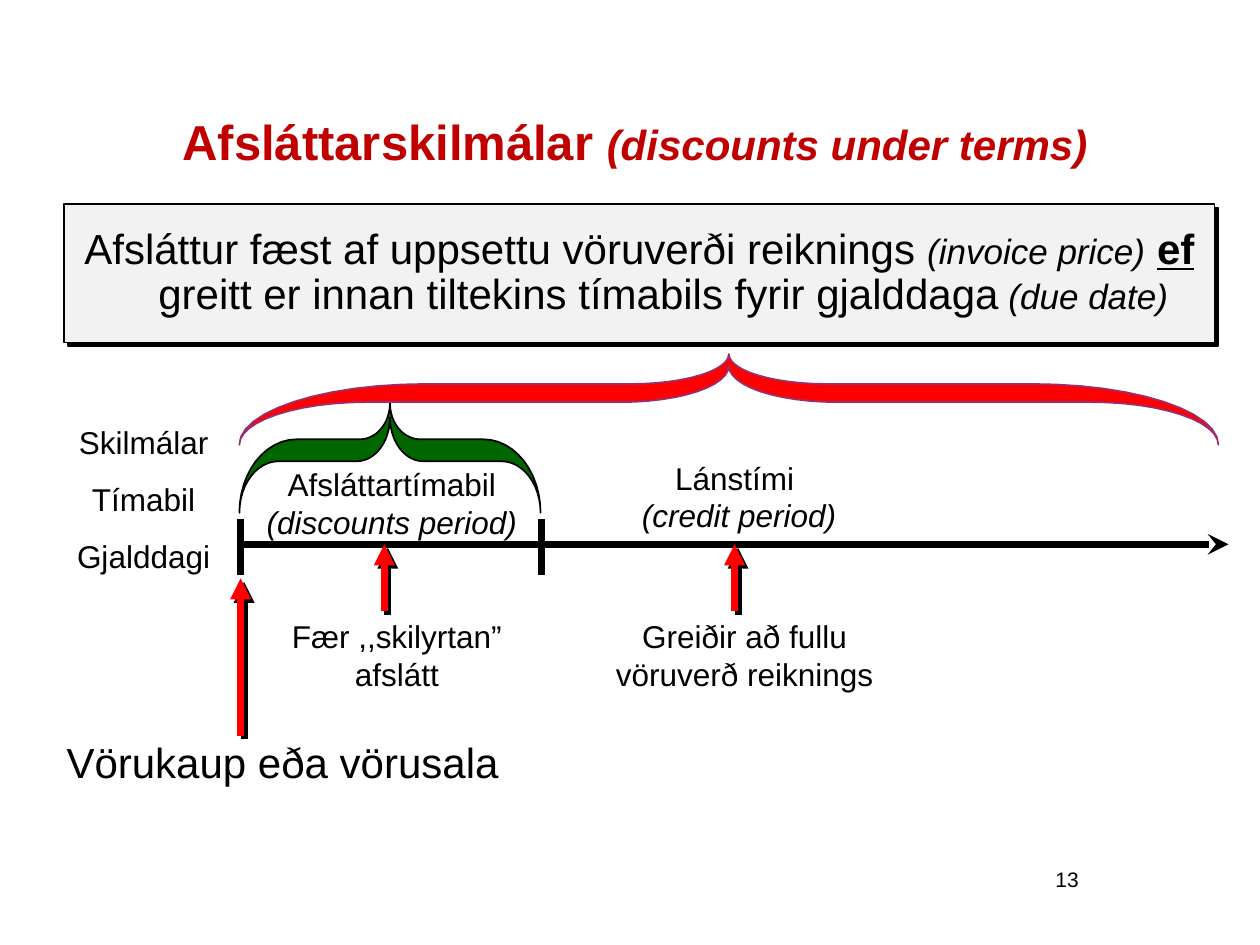
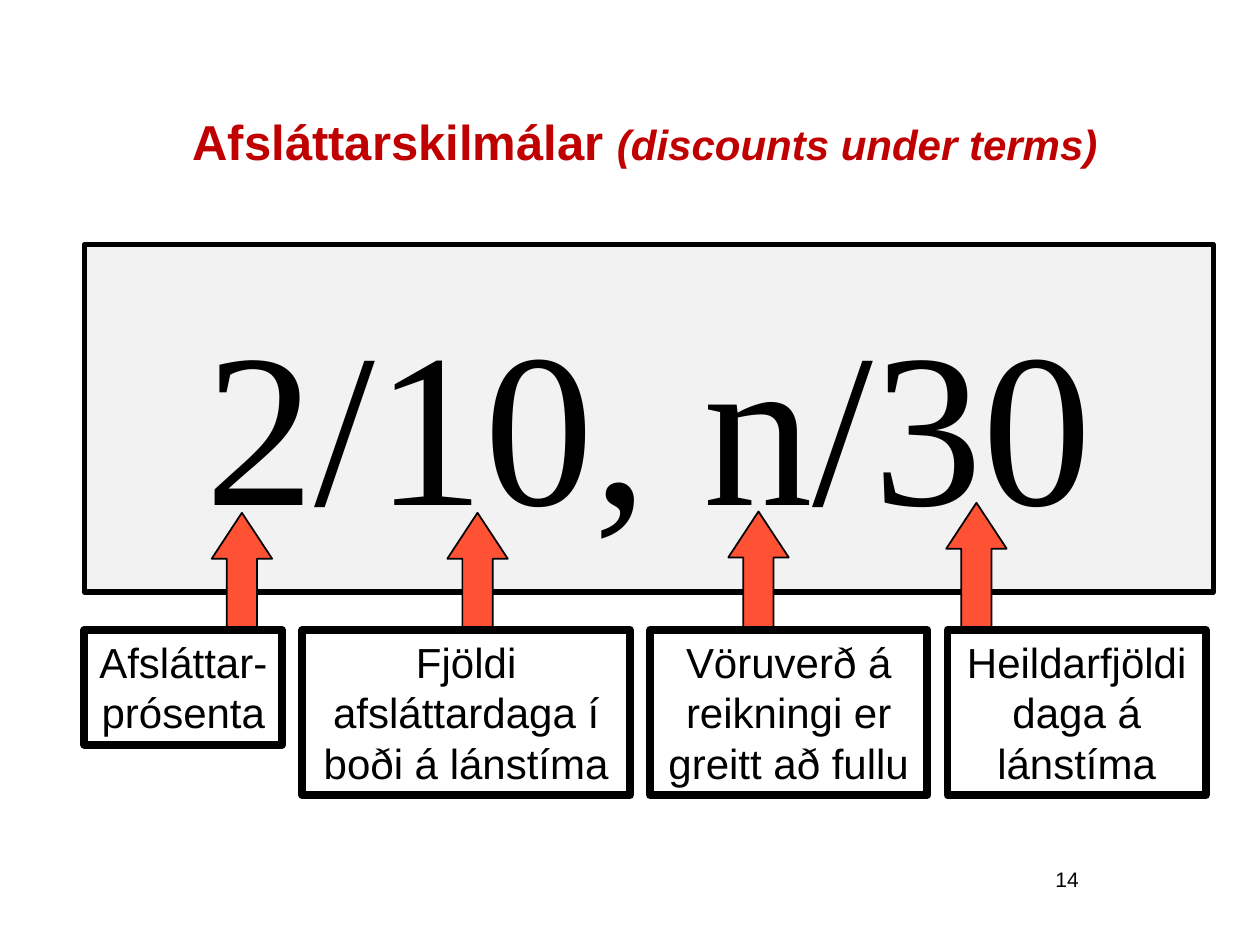
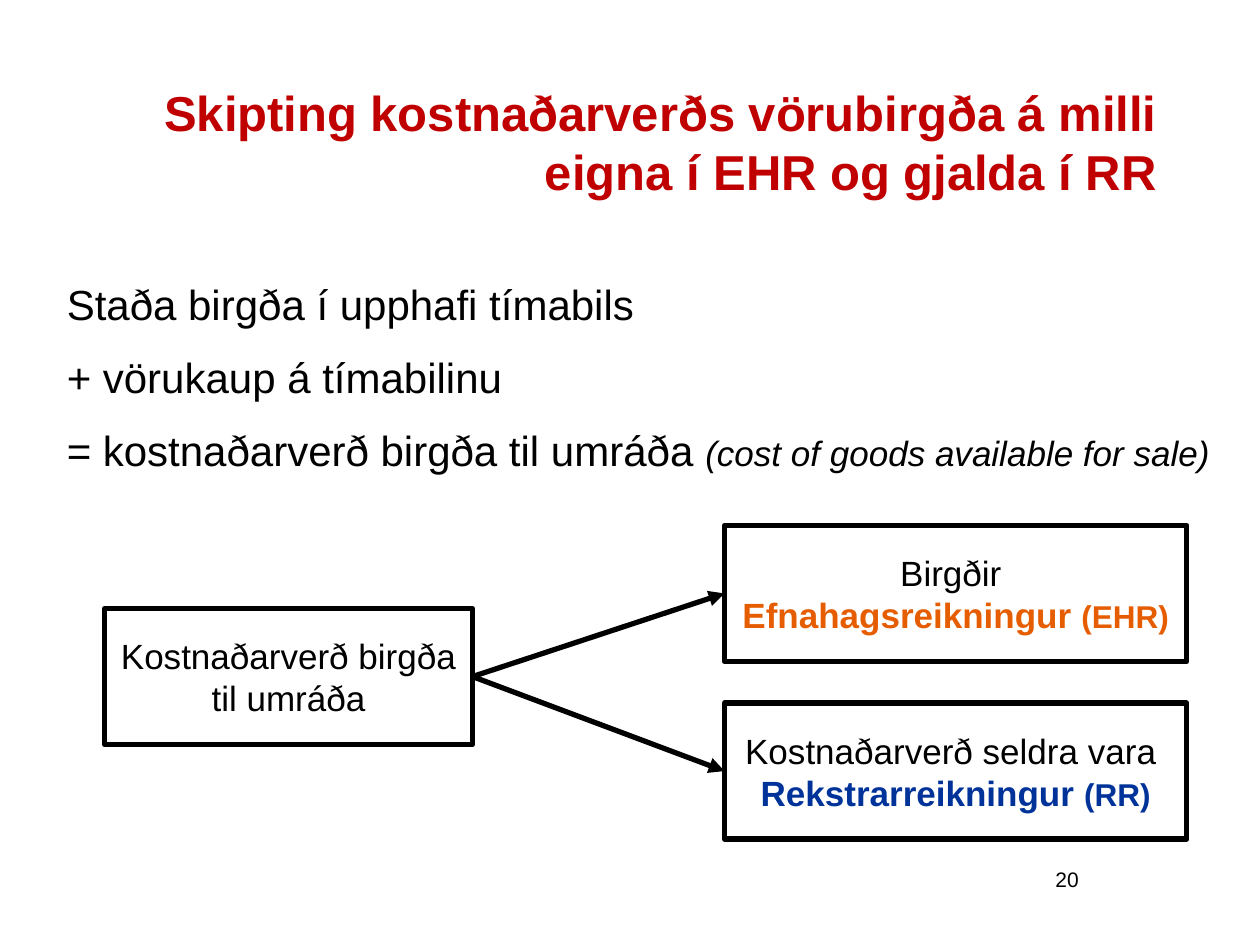
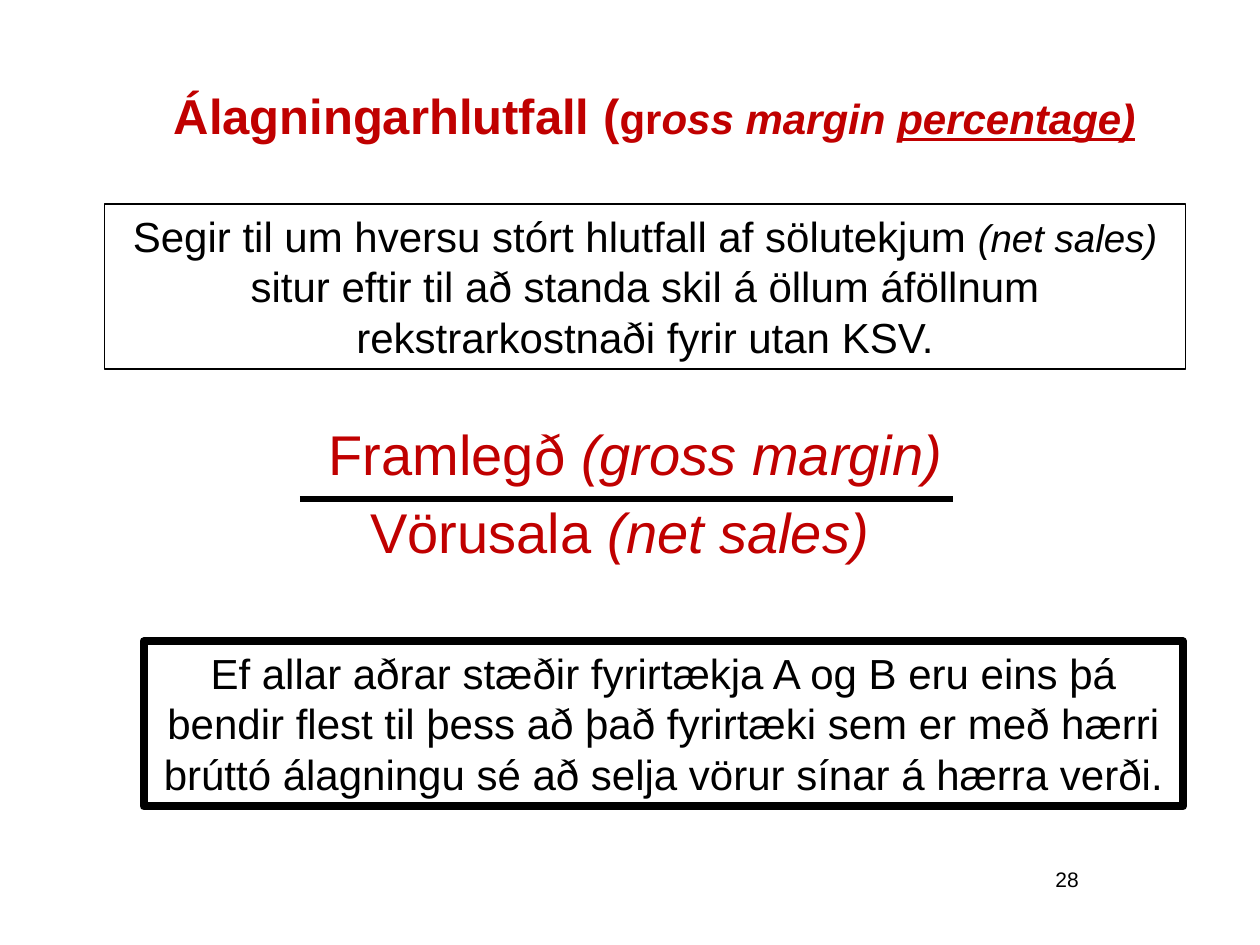
import math
import lxml.etree
import pptx
import pptx.dml.color
import pptx.enum.shapes
import pptx.enum.text
import pptx.oxml.ns
import pptx.util

Inches = pptx.util.Inches
Pt = pptx.util.Pt
RGB = pptx.dml.color.RGBColor
qn = pptx.oxml.ns.qn
ALIGN = pptx.enum.text.PP_ALIGN
ANCHOR = pptx.enum.text.MSO_ANCHOR
SHAPE = pptx.enum.shapes.MSO_SHAPE

BLACK = RGB(0x00, 0x00, 0x00)
TITLE = RGB(0xC0, 0x00, 0x00)
RED = RGB(0xFF, 0x00, 0x00)
GREEN = RGB(0x00, 0x66, 0x00)
PLUM = RGB(0x9A, 0x2F, 0x6F)
PANEL = RGB(0xF2, 0xF2, 0xF2)
CORAL = RGB(0xFF, 0x51, 0x33)
ORANGE = RGB(0xE6, 0x5D, 0x00)
BLUE = RGB(0x00, 0x33, 0x99)

ITALIC = {"italic": True}
HEAD = {"size": 28, "bold": True, "color": TITLE}
SMALL = {"size": 24, "italic": True}
LABEL = {"size": 18}
BODY = {"size": 24}
NODE = {"size": 20}
RATIO = {"size": 32, "color": TITLE}
TERMS = [("Afsláttarskilmálar ", {}), ("(discounts under terms)", SMALL)]


def style(run, look):
    for name, value in {"name": "Arial", "color": BLACK, **look}.items():
        if name == "color":
            run.font.color.rgb = value
        else:
            setattr(run.font, name, Pt(value) if name == "size" else value)


def put(shape, paras, base, align=ALIGN.CENTER, anchor=ANCHOR.TOP,
        wrap=True, hang=0, **form):
    frame = shape.text_frame
    layout = {
        "word_wrap": wrap,
        "auto_size": pptx.enum.text.MSO_AUTO_SIZE.NONE,
        "vertical_anchor": anchor,
    }
    for name, value in layout.items():
        setattr(frame, name, value)
    for n, runs in enumerate(paras):
        para = frame.add_paragraph() if n else frame.paragraphs[0]
        for name, value in {"alignment": align, **form}.items():
            setattr(para, name, value)
        if hang:
            props = para._p.get_or_add_pPr()
            props.set("marL", str(Inches(hang)))
            props.set("indent", str(-Inches(hang)))
        for text, look in [(runs, {})] if isinstance(runs, str) else runs:
            if text == "\n":
                para.add_line_break()
                continue
            run = para.add_run()
            run.text = text
            style(run, {**base, **look})
    return shape


def sub(box, left, top, width, height):
    return box[0] + left, box[1] + top, width, height


def paint(shape, fill, line, width):
    shape.shadow.inherit = False
    if fill is None:
        shape.fill.background()
    else:
        shape.fill.solid()
        shape.fill.fore_color.rgb = fill
    shape.line.color.rgb = line
    shape.line.width = Pt(width)
    return shape


def rect(slide, box, width, fill=None, kind=SHAPE.RECTANGLE):
    shape = slide.shapes.add_shape(kind, *map(Inches, box))
    return paint(shape, fill, BLACK, width)


def label(slide, box, paras, base, **form):
    return put(slide.shapes.add_textbox(*map(Inches, box)), paras, base, **form)


def shade(effect):
    drop = lxml.etree.SubElement(effect, qn("a:outerShdw"), blurRad="0",
                                 dist=str(Pt(2.8)), dir="2700000",
                                 algn="ctr", rotWithShape="0")
    lxml.etree.SubElement(drop, qn("a:srgbClr"), val=str(BLACK))


def line(slide, start, end, width, color=BLACK, tip=None, drop=False):
    link = slide.shapes.add_connector(
        pptx.enum.shapes.MSO_CONNECTOR.STRAIGHT,
        *map(Inches, (*start, *end)))
    link.line.color.rgb = color
    link.line.width = Pt(width)
    if tip:
        lxml.etree.SubElement(link.line._get_or_add_ln(), qn("a:tailEnd"),
                              type=tip)
    effect = lxml.etree.SubElement(link._element.spPr, qn("a:effectLst"))
    if drop:
        shade(effect)
    return link


def arc(mid, radii, start, end):
    turns = [math.radians(start + (end - start) * n / 12) for n in range(13)]
    return [(mid[0] + radii[0] * math.cos(t), mid[1] - radii[1] * math.sin(t))
            for t in turns]


def brace(slide, box, fill, edge):
    outer = arc((.19, 1), (.19, .67), 180, 90) + arc((.4, 0), (.1, .33), 270, 360)
    inner = arc((.39, .13), (.11, .4), 360, 270) + arc((.13, 1), (.13, .47), 90, 180)
    right = [(1 - x, y) for x, y in reversed(inner + outer)]
    loop = outer + right + inner
    spots = [(Inches(box[0] + x * box[2]), Inches(box[1] + y * box[3]))
             for x, y in loop]
    pen = slide.shapes.build_freeform(*spots[0])
    pen.add_line_segments(spots[1:], close=True)
    paint(pen.convert_to_shape(), fill, edge, 1)


def page(deck, layout, number, box, runs, align=ALIGN.CENTER):
    slide = deck.slides.add_slide(deck.slide_layouts[layout])
    place(slide.shapes.title, box)
    put(slide.shapes.title, [runs], HEAD, align, ANCHOR.MIDDLE)
    label(slide, (6.58, 6.83, 2.08, .5), [str(number)], {"size": 12},
          align=ALIGN.RIGHT)
    return slide


def place(shape, box):
    for name, value in zip(("left", "top", "width", "height"), box):
        setattr(shape, name, Inches(value))


def rule(slide, box):
    shape = rect(slide, box, 1, PANEL)
    shade(shape._element.spPr.find(qn("a:effectLst")))
    put(shape, [[
        ("Afsláttur fæst af uppsettu vöruverði reiknings ", {}),
        ("(invoice price)", {"size": 20, "italic": True}),
        (" ", {}),
        ("ef", {"bold": True, "underline": True}),
        (" greitt er innan tiltekins tímabils fyrir gjalddaga", {}),
        (" ", NODE),
        ("(due date)", {"size": 20, "italic": True}),
    ]], BODY, anchor=ANCHOR.MIDDLE, hang=.38, line_spacing=.9)


def time(slide, box):
    left, top, width, _ = box
    zero, axis = left + 1.48, top + 1.51
    line(slide, (zero, axis), (left + width, axis), 4, tip="stealth")
    for tick in (zero, zero + 2.39):
        line(slide, (tick, axis - .2), (tick, axis + .24), 4)
    brace(slide, sub(box, 1.47, .39, 2.39, .87), GREEN, BLACK)
    brace(slide, sub(box, 1.47, 0, 7.77, .72), RED, PLUM)
    label(slide, sub(box, .08, .35, 1.26, 1.4),
          ["Skilmálar", "Tímabil", "Gjalddagi"], LABEL, line_spacing=1.5)
    label(slide, sub(box, 1.5, .83, 2.36, .7),
          [[("Afsláttartímabil ", {}), ("(discounts period)", ITALIC)]],
          LABEL, anchor=ANCHOR.MIDDLE)
    label(slide, sub(box, 4.49, .78, 1.89, .7),
          ["Lánstími ", [("(credit period)", ITALIC)]], LABEL)
    label(slide, sub(box, 1.58, 2.04, 2.28, .7),
          ["Fær ,,skilyrtan” afslátt"], LABEL)
    label(slide, sub(box, 4.1, 2.04, 2.76, .7),
          ["Greiðir að fullu vöruverð reiknings"], LABEL)
    label(slide, sub(box, 0, 2.99, 3.7, .5),
          ["Vörukaup eða vörusala"], BODY, align=ALIGN.LEFT)
    for step, low, high in ((3.92, .53, 0), (1.14, .53, 0), (0, 1.52, .27)):
        line(slide, (zero + step, axis + low), (zero + step, axis + high), 4,
             RED, "triangle", True)


def terms(slide, box):
    left, top, width, height = box
    put(rect(slide, (left, top, width, 2.76), 3, PANEL), ["2/10, n/30"],
        {"size": 125, "name": "Times New Roman"},
        anchor=ANCHOR.MIDDLE, wrap=False)
    gap, tall = .16, 1.31
    base = top + height - tall
    notes = (
        (1.57, .91, 1.25, .93, "Afsláttar- prósenta"),
        (2.6, tall, 3.12, .93, "Fjöldi afsláttardaga í boði á lánstíma"),
        (2.2, tall, 5.35, .94, "Vöruverð á reikningi er greitt að fullu"),
        (2.05, tall, 7.08, 1.01, "Heildarfjöldi daga á lánstíma"),
    )
    edge = left
    for wide, high, mid, rise, text in notes:
        arrow = rect(slide, (left + mid - .24, base - rise, .48, rise), 1,
                     CORAL, SHAPE.UP_ARROW)
        arrow.adjustments[1] = .76
        put(rect(slide, (edge, base, wide, high), 4.5), [text], BODY)
        edge += wide + gap


def stock(slide, box):
    body = slide.placeholders[1]
    place(body, box)
    put(body, [
        "Staða birgða í upphafi tímabils",
        "+ vörukaup á tímabilinu",
        [("= kostnaðarverð birgða til umráða ", {}),
         ("(cost of goods available for sale)", {"size": 20, "italic": True})],
    ], BODY, ALIGN.LEFT, hang=.5, space_before=Pt(13))
    for para in body.text_frame.paragraphs:
        lxml.etree.SubElement(para._p.get_or_add_pPr(), qn("a:buNone"))


def split(slide, box):
    _, _, width, height = box
    high, wide = 1.08, 3.67
    cost = rect(slide, sub(box, 0, .66, 2.92, high), 3)
    put(cost, ["Kostnaðarverð birgða til umráða"], NODE, anchor=ANCHOR.MIDDLE)
    goals = (
        (0, "Birgðir ", "Efnahagsreikningur ", "(EHR)", ORANGE),
        (height - high, "Kostnaðarverð seldra vara ", "Rekstrarreikningur ",
         "(RR)", BLUE),
    )
    for drop, name, book, short, color in goals:
        goal = rect(slide, sub(box, width - wide, drop, wide, high), 3)
        bold = {"bold": True, "color": color}
        put(goal, [[(name, {}), ("\n", {}), (book, bold),
                    (short, {**bold, "size": 18})]],
            NODE, anchor=ANCHOR.MIDDLE)
        link = line(slide, (0, 0), (1, 1), 3, tip="triangle")
        link.begin_connect(cost, 3)
        link.end_connect(goal, 1)


def ratio(slide, box):
    left, top, width, _ = box
    label(slide, sub(box, .25, 0, width - .25, .64),
          [[("Framlegð ", {}), ("(gross margin)", ITALIC)]], RATIO)
    label(slide, sub(box, 0, .62, width, .64),
          [[("Vörusala ", {}), ("(net sales)", ITALIC)]], RATIO)
    line(slide, (left + .53, top + .68), (left + 5.71, top + .68), 3)


def margin(slide, box):
    _, _, width, height = box
    high = 1.31
    put(rect(slide, sub(box, 0, 0, width, high), .75), [[
        ("Segir til um hversu stórt hlutfall af sölutekjum ", {}),
        ("(net sales)", {"size": 22, "italic": True}),
        (" situr eftir til að standa skil á öllum áföllnum "
         "rekstrarkostnaði fyrir utan KSV.", {}),
    ]], BODY)
    ratio(slide, sub(box, 1.02, 1.66, 6.14, 1.26))
    put(rect(slide, sub(box, .31, height - high, 8.25, high), 4.5), [
        "Ef allar aðrar stæðir fyrirtækja A og B eru eins þá bendir flest til "
        "þess að það fyrirtæki sem er með hærri brúttó álagningu sé að selja "
        "vörur sínar á hærra verði."], BODY)


def main():
    deck = pptx.Presentation()
    deck.slide_width, deck.slide_height = Inches(10), Inches(7.5)

    slide = page(deck, 5, 13, (.75, .7, 8.58, .84), TERMS)
    rule(slide, (.51, 1.62, 9.13, 1.1))
    time(slide, (.43, 2.81, 9.32, 3.49))

    slide = page(deck, 5, 14, (.75, .7, 8.74, .84), TERMS)
    terms(slide, (.67, 1.94, 8.96, 4.37))

    slide = page(deck, 1, 20, (.75, .7, 8.53, .84),
                 "Skipting kostnaðarverðs vörubirgða á milli eigna í EHR "
                 "og gjalda í RR", ALIGN.RIGHT)
    stock(slide, (.43, 2.16, 9.29, 3.13))
    split(slide, (.83, 4.17, 8.59, 2.49))

    slide = page(deck, 5, 28, (.98, .52, 8.43, .79), [
        ("Álagningarhlutfall (", {}), ("gr", {"size": 24}),
        ("oss margin ", SMALL), ("percentage)", {**SMALL, "underline": True})])
    margin(slide, (.83, 1.62, 8.58, 4.78))

    deck.save("out.pptx")


if __name__ == "__main__":
    main()
